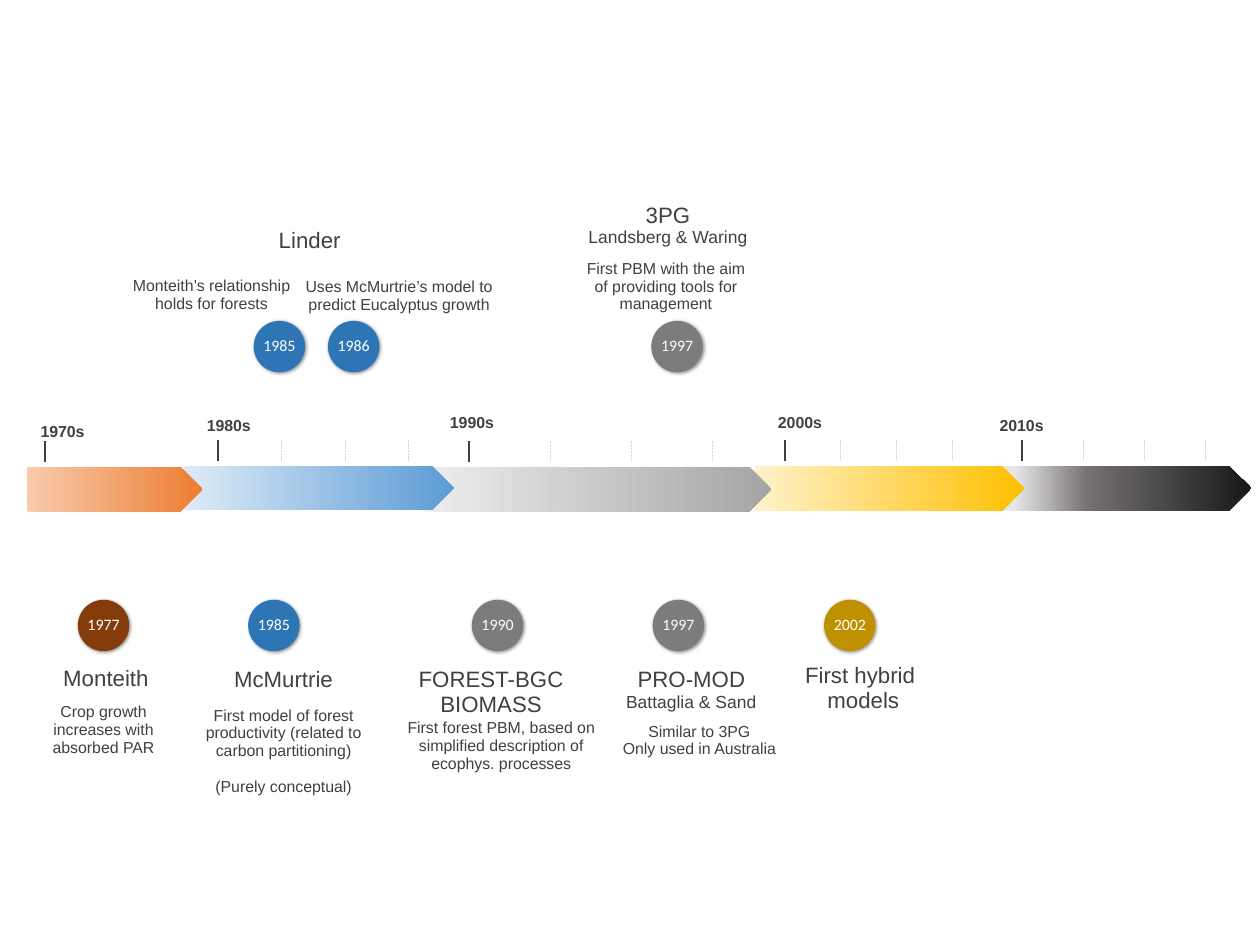
from copy import deepcopy

from lxml import etree
from pptx import Presentation
from pptx.dml.color import RGBColor
from pptx.enum import dml, shapes, text
from pptx.oxml import ns
from pptx.util import Pt

HUES = {"ink": "404040", "white": "FFFFFF", "tick": "D9D9D9",
        "brown": "843C0B", "blue": "2E75B6", "gray": "7C7C7C",
        "gold": "BF9000", "shade": "000000"}
DOT = 32.4

# Eras, back to front: label, label spot, arrow box, first tick, tick step, stops
ERAS = [
    ("2010s", (621.2, 262.8), (622.6, 293.5, 165.6, 28.1), 644.1, 38.5,
     [(10, "E7E6E6"), (38, "767171"), (100, "181717")]),
    ("2000s", (481.6, 260.8), (475.2, 293.5, 169.9, 28.1), 494.6, 35.1,
     [(0, "FFF2CC"), (100, "FFC000")]),
    ("1990s", (275, 261.2), (267.1, 294.2, 218.9, 28.1), 295.6, 51,
     [(0, "EDEDED"), (100, "A5A5A5")]),
    ("1980s", (121.8, 262.8), (115.9, 293.3, 169.9, 28.1), 137.5, 39.9,
     [(0, "DEEBF7"), (100, "5B9BD5")]),
    ("1970s", (17.1, 266.4), (17.1, 294.2, 110.4, 28.1), 28.1, None,
     [(0, "F8CBAD"), (100, "ED7D31")]),
]

# Events: year, hue, dot spot, captions (offset box from dot, lines as text, size, gap)
ABOVE, BELOW = 202.1, 377.8
EVENTS = [
    ("1977", "brown", (49, BELOW), [
        ((-24.3, 41.9, 84.2, 15.8), [("Monteith", 14, 0)]),
        ((-19.8, 65.4, 72, 33.6),
         [("Crop growth increases with absorbed PAR", 10, 0)])]),
    ("1985", "blue", (159.8, ABOVE), [
        ((-15.8, -58.1, 102.2, 15.8), [("Linder", 14, 0)]),
        ((-77.7, -27.4, 102.2, 22.4),
         [("Monteith’s relationship\nholds for forests", 10, 0)])]),
    ("1986", "blue", (206.6, ABOVE), [
        ((-15, -26.9, 119.5, 22.4),
         [("Uses McMurtrie’s model to predict Eucalyptus growth", 10, 0)])]),
    ("1997", "gray", (410.3, ABOVE), [
        ((-40.6, -73.9, 102.2, 28.1),
         [("3PG", 14, 0), ("Landsberg & Waring", 11, 0)]),
        ((-42, -38.2, 102.2, 33.6),
         [("First PBM with the aim of providing tools for management", 10, 0)])]),
    ("1985", "blue", (156.3, BELOW), [
        ((-28.8, 43, 102.2, 15.8), [("McMurtrie", 14, 0)]),
        ((-28.8, 67.5, 102.2, 56),
         [("First model of forest productivity (related to carbon partitioning)",
           10, 0), ("(Purely conceptual)", 10, 11.2)])]),
    ("1990", "gray", (297.2, BELOW), [
        ((-51.5, 42.6, 127.4, 31.6), [("FOREST-BGC\nBIOMASS", 14, 0)]),
        ((-45.2, 75.4, 127.4, 33.6),
         [("First forest PBM, based on simplified description of ecophys. processes",
           10, 0)])]),
    ("1997", "gray", (411.1, BELOW), [
        ((-26.7, 43, 102.2, 28.1),
         [("PRO-MOD", 14, 0), ("Battaglia & Sand", 11, 0)]),
        ((-21.7, 77.6, 102.2, 22.4),
         [("Similar to 3PG\nOnly used in Australia", 10, 0)])]),
    ("2002", "gold", (519.1, BELOW), [
        ((-45.5, 40.2, 140.4, 31.6), [("First hybrid \nmodels", 14, 0)])]),
]


def rgb(hue):
    return RGBColor.from_string(HUES.get(hue, hue))


def put(obj, form):
    for key, val in form.items():
        setattr(obj, key, val)


def write(frame, lines, font="Arial", hue="ink", bold=False, mid=False):
    """Fill a text frame with centred paragraphs."""
    put(frame, {"margin_left": 0, "margin_right": 0, "margin_top": 0,
                "margin_bottom": 0, "word_wrap": True,
                "vertical_anchor": text.MSO_ANCHOR.MIDDLE if mid
                else text.MSO_ANCHOR.TOP})
    for i, (words, size, gap) in enumerate(lines):
        para = frame.add_paragraph() if i else frame.paragraphs[0]
        put(para, {"alignment": text.PP_ALIGN.CENTER, "line_spacing": 0.93})
        if gap:
            para.space_before = Pt(gap)
        for j, part in enumerate(words.split("\n")):
            if j:
                para.add_line_break()
            run = para.add_run()
            run.text = part
            put(run.font, {"name": font, "size": Pt(size), "bold": bold})
            run.font.color.rgb = rgb(hue)
        # Line breaks take the size of the text around them
        for cut in para._p.findall(ns.qn("a:br")):
            cut.append(deepcopy(run._r.rPr))


def label(slide, box, lines, **form):
    area = slide.shapes.add_textbox(*map(Pt, box))
    write(area.text_frame, lines, **form)


def tick(slide, x, top, hue, width, dash=None):
    line = slide.shapes.add_connector(
        shapes.MSO_CONNECTOR.STRAIGHT, Pt(x), Pt(top), Pt(x), Pt(top + 13))
    put(line.line, {"width": Pt(width), "dash_style": dash})
    line.line.color.rgb = rgb(hue)
    etree.SubElement(line._element.spPr, ns.qn("a:effectLst"))


def blend(fill, stops):
    """Left-to-right gradient with any number of stops."""
    fill.gradient()
    fill.gradient_angle = 0
    row = fill._xPr.find(ns.qn("a:gradFill")).find(ns.qn("a:gsLst"))
    for old in list(row):
        row.remove(old)
    for pos, hue in stops:
        stop = etree.SubElement(row, ns.qn("a:gs"), pos=str(pos * 1000))
        etree.SubElement(stop, ns.qn("a:srgbClr"), val=hue)


def era(slide, box, name, spot, first, step, stops):
    """One decade: arrow, ticks above it and its label."""
    arrow = slide.shapes.add_shape(shapes.MSO_SHAPE.RIGHT_ARROW, *map(Pt, box))
    arrow.adjustments[0], arrow.adjustments[1] = 1, 0.5
    arrow.shadow.inherit = False
    arrow.line.fill.background()
    blend(arrow.fill, stops)
    top = box[1] - 16.2
    tick(slide, first, top, "ink", 1.25)
    for i in range(1, 4 if step else 1):
        tick(slide, first + i * step, top, "tick", 0.5,
             dml.MSO_LINE.SQUARE_DOT)
    label(slide, (*spot, 44.6, 18.7), [(name, 10, 0)], bold=True)


def event(slide, spot, year, hue, notes):
    """One dated dot with captions placed from its corner."""
    x, y = spot
    dot = slide.shapes.add_shape(
        shapes.MSO_SHAPE.OVAL, Pt(x), Pt(y), Pt(DOT), Pt(DOT))
    dot.fill.solid()
    dot.fill.fore_color.rgb = rgb(hue)
    dot.line.fill.background()
    dot.shadow.inherit = False
    glow = etree.SubElement(
        dot._element.spPr.find(ns.qn("a:effectLst")), ns.qn("a:outerShdw"),
        blurRad=str(Pt(2)), dist=str(Pt(1)), dir="2700000", rotWithShape="0")
    tint = etree.SubElement(glow, ns.qn("a:srgbClr"), val=HUES["shade"])
    etree.SubElement(tint, ns.qn("a:alpha"), val="40000")
    write(dot.text_frame, [(year, 10, 0)], font="Calibri", hue="white", mid=True)
    for (dx, dy, w, h), lines in notes:
        label(slide, (x + dx, y + dy, w, h), lines)


def main():
    deck = Presentation()
    put(deck, {"slide_width": Pt(793.7), "slide_height": Pt(595.28)})
    slide = deck.slides.add_slide(deck.slide_layouts[6])
    # Timeline
    for name, spot, box, first, step, stops in ERAS:
        era(slide, box, name, spot, first, step, stops)
    # Models
    for year, hue, spot, notes in EVENTS:
        event(slide, spot, year, hue, notes)
    deck.save("out.pptx")


if __name__ == "__main__":
    main()
